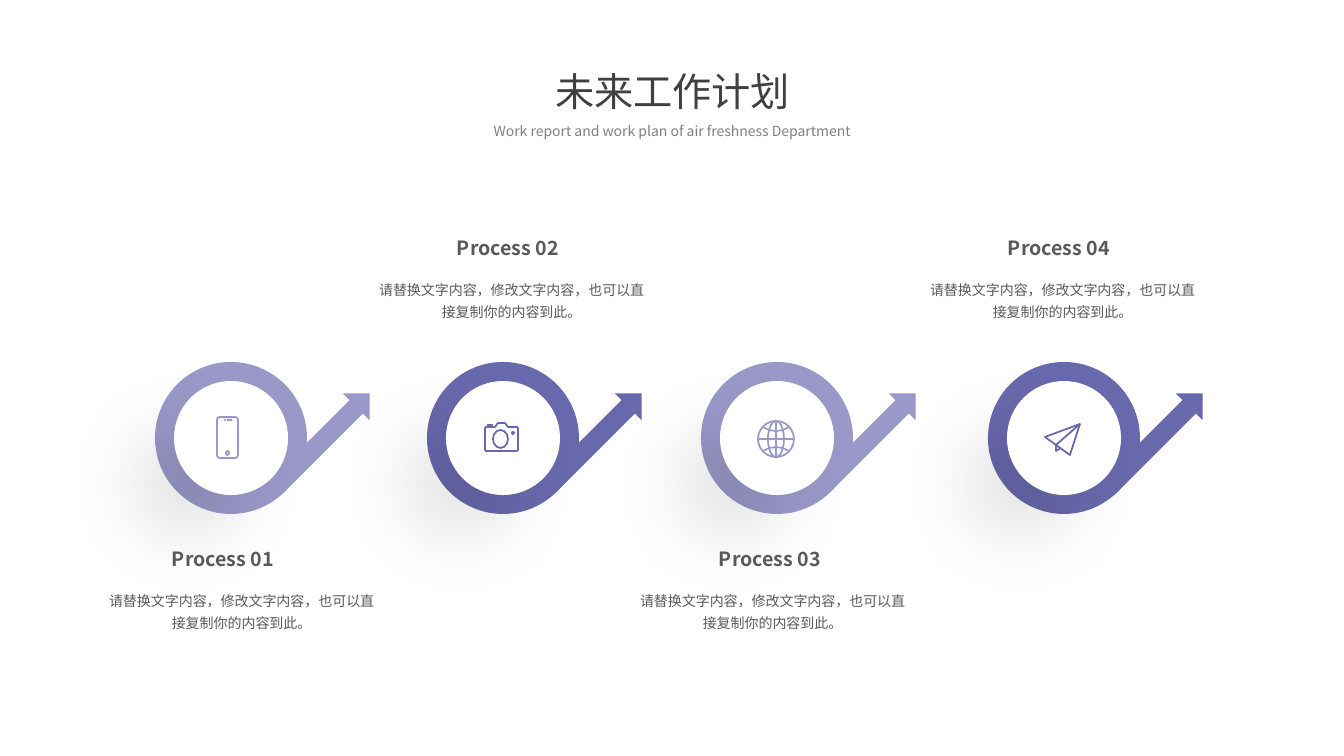
from lxml.etree import SubElement
from pptx import Presentation
from pptx.dml.color import RGBColor
from pptx.enum.shapes import MSO_CONNECTOR, MSO_SHAPE
from pptx.enum.text import MSO_ANCHOR, MSO_AUTO_SIZE, PP_ALIGN
from pptx.oxml.ns import qn
from pptx.util import Pt

EMU_PER_PX = 12192000 / 1344
FONT = "Noto Sans CJK SC"
COLORS = {"light": "9998C8", "dark": "6868AC", "white": "FFFFFF", "shadow": "000000",
          "title": "404040", "subtitle": "808080", "text": "595959"}
BODY = "请替换文字内容，修改文字内容，也可以直接复制你的内容到此。"
RING, RIM, RING_TOP = 152, 19, 362
STROKE = 1.25


def px(n):
    return round(n * EMU_PER_PX)


def rgb(name):
    return RGBColor.from_string(COLORS[name])


# Text
def write(sp, text, size, color, bold=False, spacing=1.0, anchor=MSO_ANCHOR.TOP):
    tf = sp.text_frame
    tf.word_wrap = True
    tf.auto_size = MSO_AUTO_SIZE.NONE
    tf.vertical_anchor = anchor
    p = tf.paragraphs[0]
    p.text = text
    p.alignment = PP_ALIGN.CENTER
    p.line_spacing = spacing
    p.space_before = Pt(0)
    p.font.size = Pt(size)
    p.font.bold = bold
    p.font.color.rgb = rgb(color)
    p.font.name = FONT
    east_asian = SubElement(p._p.pPr.find(qn("a:defRPr")), qn("a:ea"))
    east_asian.set("typeface", FONT)


def add_text(s, x, y, w, h, *args, **kwargs):
    write(s.shapes.add_textbox(px(x), px(y), px(w), px(h)), *args, **kwargs)


def fill_placeholder(sp, x, y, w, h, *args, **kwargs):
    sp.left, sp.top, sp.width, sp.height = px(x), px(y), px(w), px(h)
    write(sp, *args, anchor=MSO_ANCHOR.MIDDLE, **kwargs)


# Shapes
def add_solid(shapes, kind, x, y, w, h, color):
    sp = shapes.add_shape(kind, px(x), px(y), px(w), px(h))
    sp.shadow.inherit = False
    sp.fill.solid()
    sp.fill.fore_color.rgb = rgb(color)
    sp.line.fill.background()
    return sp


def set_stroke(sp, color):
    sp.shadow.inherit = False
    sp.fill.background()
    sp.line.color.rgb = rgb(color)
    sp.line.width = Pt(STROKE)


def add_outline(shapes, kind, x, y, w, h, color):
    sp = shapes.add_shape(kind, px(x), px(y), px(w), px(h))
    set_stroke(sp, color)
    return sp


def add_path(shapes, points, color, close=False):
    builder = shapes.build_freeform(*points[0], scale=EMU_PER_PX)
    builder.add_line_segments(points[1:], close=close)
    set_stroke(builder.convert_to_shape(), color)


def add_line(shapes, x1, y1, x2, y2, color):
    line = shapes.add_connector(MSO_CONNECTOR.STRAIGHT, px(x1), px(y1), px(x2), px(y2))
    line.line.color.rgb = rgb(color)
    line.line.width = Pt(STROKE)
    SubElement(line._element.spPr, qn("a:effectLst"))


def add_soft_shadow(sp):
    effects = sp._element.spPr.find(qn("a:effectLst"))
    shadow = SubElement(effects, qn("a:outerShdw"), blurRad=str(Pt(50)), dist=str(Pt(45)),
                        dir=str(135 * 60000), algn="tr", rotWithShape="0")
    color = SubElement(shadow, qn("a:srgbClr"), val=COLORS["shadow"])
    SubElement(color, qn("a:alpha"), val="10000")


def add_ring(s, x, color):
    shapes = s.shapes.add_group_shape().shapes
    arrow = add_solid(shapes, MSO_SHAPE.RIGHT_ARROW, x + 102, RING_TOP + 59, 132, 38, color)
    arrow.rotation = 315
    add_solid(shapes, MSO_SHAPE.OVAL, x, RING_TOP, RING, RING, color)
    hole = RING - 2 * RIM
    disc = add_solid(shapes, MSO_SHAPE.OVAL, x + RIM, RING_TOP + RIM, hole, hole, "white")
    add_soft_shadow(disc)


# Icons
def draw_phone(shapes, color):
    case = add_outline(shapes, MSO_SHAPE.ROUNDED_RECTANGLE, 217, 417, 21, 41, color)
    case.adjustments[0] = 0.14
    add_solid(shapes, MSO_SHAPE.OVAL, 224, 419, 2, 2, color)
    add_solid(shapes, MSO_SHAPE.ROUNDED_RECTANGLE, 227, 419, 5, 2, color)
    add_outline(shapes, MSO_SHAPE.OVAL, 226, 451, 3, 4, color)


def draw_camera(shapes, color):
    case = [(486, 427), (495, 427), (498, 423), (505, 423), (508, 427), (517, 427),
            (518, 428), (518, 450), (517, 451), (486, 451), (485, 450), (485, 428)]
    add_path(shapes, case, color, close=True)
    add_outline(shapes, MSO_SHAPE.OVAL, 493, 430, 15, 18, color)
    add_outline(shapes, MSO_SHAPE.OVAL, 512, 432, 2, 2, color)
    add_line(shapes, 487, 425, 493, 425, color)


def draw_globe(shapes, color):
    add_outline(shapes, MSO_SHAPE.OVAL, 758, 421, 36, 36, color)
    add_outline(shapes, MSO_SHAPE.OVAL, 768, 421, 16, 36, color)
    add_line(shapes, 776, 421, 776, 457, color)
    add_line(shapes, 758, 439, 794, 439, color)
    for side in (-1, 1):
        curve = [(776 + dx, 439 + side * dy)
                 for dx, dy in ((-13, 12), (-7, 9), (0, 8), (7, 9), (13, 12))]
        add_path(shapes, curve, color)


def draw_plane(shapes, color):
    add_path(shapes, [(1080, 424), (1045, 437), (1070, 455)], color, close=True)
    add_path(shapes, [(1080, 424), (1056, 445), (1056, 451), (1061, 448)], color)


def main():
    prs = Presentation()
    prs.slide_width, prs.slide_height = px(1344), px(756)
    s = prs.slides.add_slide(prs.slide_layouts[0])

    # Title and subtitle
    title, subtitle = s.placeholders
    fill_placeholder(title, 338, 62, 669, 57, "未来工作计划", 28, "title")
    fill_placeholder(subtitle, 358, 119, 628, 25,
                     "Work report and work plan of air freshness Department",
                     10, "subtitle", spacing=0.9)

    # Steps: ring, heading and body lefts, heading top, colour, icon
    steps = [(155, 99, 96, 542, "light", draw_phone),
             (427, 384, 366, 231, "dark", draw_camera),
             (701, 646, 627, 542, "light", draw_globe),
             (988, 935, 917, 231, "dark", draw_plane)]
    for number, (ring_x, head_x, body_x, top, color, draw_icon) in enumerate(steps, 1):
        add_ring(s, ring_x, color)
        draw_icon(s.shapes.add_group_shape().shapes, color)
        add_text(s, head_x, top, 248, 34, f"Process {number:02}", 14, "text", bold=True)
        add_text(s, body_x, top + 41, 291, 52, BODY, 10, "text", spacing=1.3)

    prs.save("out.pptx")


if __name__ == "__main__":
    main()
